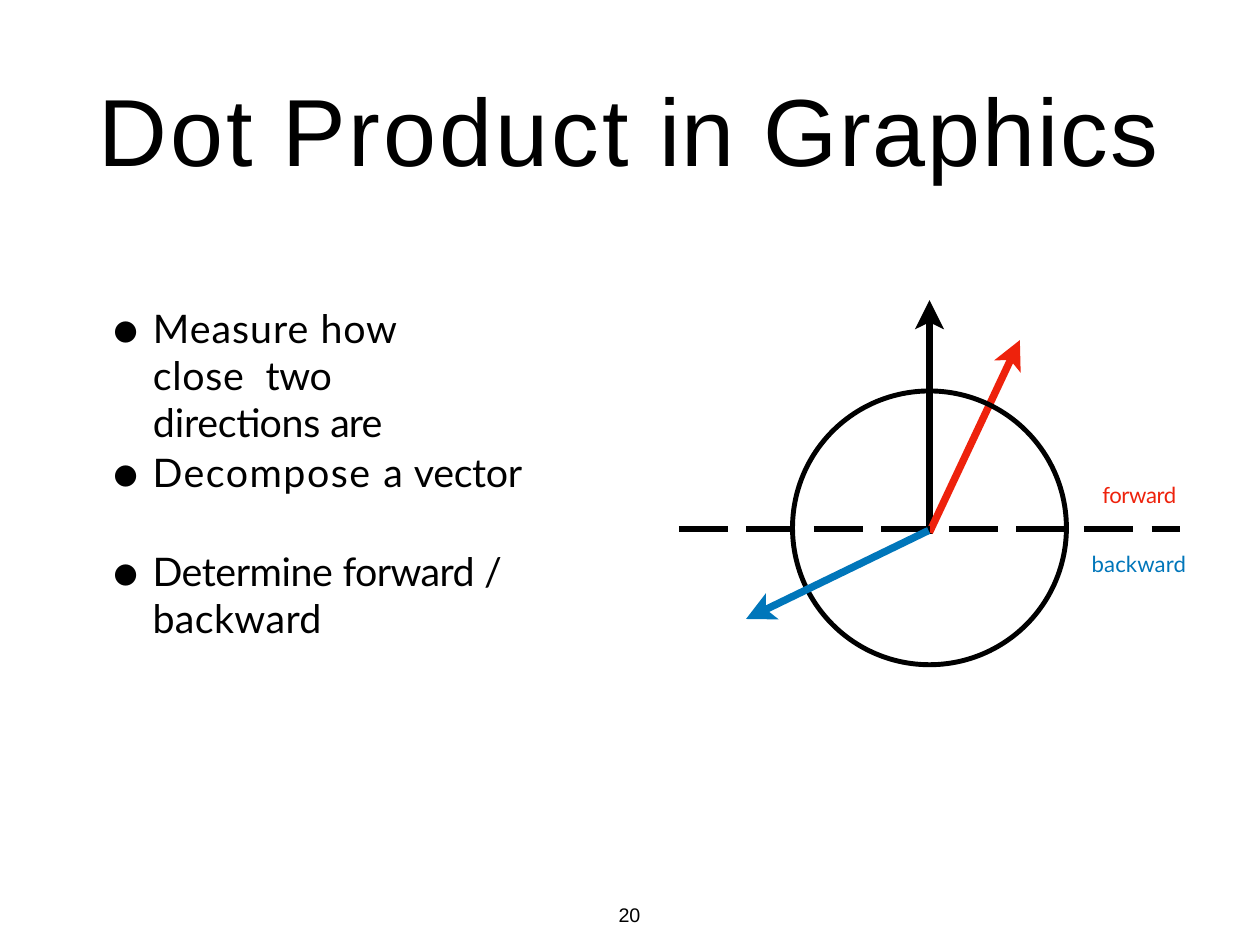
from math import hypot

from lxml.etree import SubElement
from pptx import Presentation
from pptx.dml.color import RGBColor
from pptx.enum.dml import MSO_LINE
from pptx.enum.shapes import MSO_CONNECTOR, MSO_SHAPE
from pptx.oxml.ns import qn
from pptx.util import Inches, Pt

WIDE, HIGH = 14.22, 10.67
BLACK, RED, BLUE = "000000", "EE220C", "0076BA"

# Places are percent of slide width and height; a run is (words, letter spacing)
TITLE = [("Dot", 2.4), (" ", 0), ("Product", 2.5), (" ", 0),
         ("in", 1.4), (" ", 0), ("Graphics", 1.6)]
CLOSE = [("Measure ", 0.8), ("how close", 0.6), (" ", 8.5), ("two ", -0.3),
         ("directions ", -0.2), ("are", -0.8)]
SPLIT = [("Decompose ", 1.2), ("a ", 0.3), ("vector", -0.3)]
SIDE = [("Determine ", -0.4), ("forward ", -0.5), ("/ ", 0), ("backward", 0.3)]

HEAD = {"name": "Arial", "size": Pt(77.5)}
BODY = {"name": "Lato", "size": Pt(32)}
LABEL = {"name": "Lato", "size": Pt(18)}
FOOT = {"name": "Arial", "size": Pt(16)}

TEXTS = [
    ((7.81, 7.5, 86.5, 12.2), [TITLE], HEAD, BLACK, False),
    ((8.48, 32.25, 30.73, 10), [CLOSE], BODY, BLACK, True),
    ((8.45, 47.43, 33.05, 20.5), [SPLIT, SIDE], BODY, BLACK, True),
    ((87.48, 50.95, 6.2, 3), [[("forward", -0.3)]], LABEL, RED, False),
    ((86.64, 58.2, 7.95, 3), [[("backward", 0.1)]], LABEL, BLUE, False),
    ((49.09, 95.5, 2.2, 2.6), [[("20", -0.1)]], FOOT, BLACK, False),
]

HUB, RADIUS = (73.77, 55.86), 10.87
UP = ((73.77, 56.51), (73.77, 31.77), BLACK)
AHEAD = ((73.77, 56.33), (80.94, 35.99), RED)
BACK = ((73.7, 56.14), (59.21, 65.51), BLUE)
PLANE = ((53.87, 55.95), (93.67, 55.95))
BARB, NOTCH, HALF = 0.33, 0.25, 0.165


def tint(code):
    return RGBColor.from_string(code)


def place(x, y):
    """Turn percent of the slide into inches."""
    return x * WIDE / 100, y * HIGH / 100


def write(box, paras, style, color, listed):
    x, y, w, h = (Inches(v) for v in place(*box[:2]) + place(*box[2:]))
    frame = slide.shapes.add_textbox(x, y, w, h).text_frame
    frame.word_wrap = True
    for side in ("left", "top", "right", "bottom"):
        setattr(frame, "margin_" + side, 0)
    for i, runs in enumerate(paras):
        para = frame.add_paragraph() if i else frame.paragraphs[0]
        if listed:
            dot(para)
            para.line_spacing = Pt(38)
        if i:
            para.space_before = Pt(43)
        for words, gap in runs:
            run = para.add_run()
            run.text = words
            for key, value in style.items():
                setattr(run.font, key, value)
            run.font.color.rgb = tint(color)
            run._r.get_or_add_rPr().set("spc", str(round(gap * 100)))


def dot(para):
    """Add a large bullet and a hanging indent."""
    props = para._p.get_or_add_pPr()
    props.set("marL", str(Inches(0.52)))
    props.set("indent", str(-Inches(0.49)))
    SubElement(props, qn("a:buSzPct")).set("val", "145000")
    SubElement(props, qn("a:buFont")).set("typeface", "Lato")
    SubElement(props, qn("a:buChar")).set("char", "•")


def rule(start, end, color, width):
    """Draw a straight line between two points in inches."""
    ends = [Inches(v) for v in start + end]
    line = slide.shapes.add_connector(MSO_CONNECTOR.STRAIGHT, *ends)
    line.line.color.rgb = tint(color)
    line.line.width = Pt(width)
    SubElement(line._element.spPr, qn("a:effectLst"))
    return line


def arrow(start, tip, color):
    """Draw a shaft with a notched head turned along it."""
    (x, y), (tx, ty) = place(*start), place(*tip)
    span = hypot(tx - x, ty - y)
    dx, dy = (tx - x) / span, (ty - y) / span

    def spot(back, off):
        return tx - back * dx - off * dy, ty - back * dy + off * dx

    rule((x, y), spot(NOTCH - 0.02, 0), color, 6)
    shape = ((0, 0), (BARB, HALF), (NOTCH, 0), (BARB, -HALF))
    first, *rest = [tuple(Inches(v) for v in spot(*p)) for p in shape]
    pen = slide.shapes.build_freeform(*first)
    pen.add_line_segments(rest)
    head = pen.convert_to_shape()
    head.shadow.inherit = False
    head.fill.solid()
    head.fill.fore_color.rgb = tint(color)
    head.line.fill.background()


def ring():
    x, y = place(*HUB)
    r = RADIUS * WIDE / 100
    shape = slide.shapes.add_shape(
        MSO_SHAPE.OVAL, *(Inches(v) for v in (x - r, y - r, 2 * r, 2 * r)))
    shape.shadow.inherit = False
    shape.fill.background()
    shape.line.color.rgb = tint(BLACK)
    shape.line.width = Pt(4)


deck = Presentation()
deck.slide_width, deck.slide_height = Inches(WIDE), Inches(HIGH)
slide = deck.slides.add_slide(deck.slide_layouts[6])
arrow(*UP)
arrow(*AHEAD)
ring()
plane = rule(*(place(*p) for p in PLANE), BLACK, 5)
plane.line.dash_style = MSO_LINE.LONG_DASH
arrow(*BACK)
for text in TEXTS:
    write(*text)
deck.save("out.pptx")
